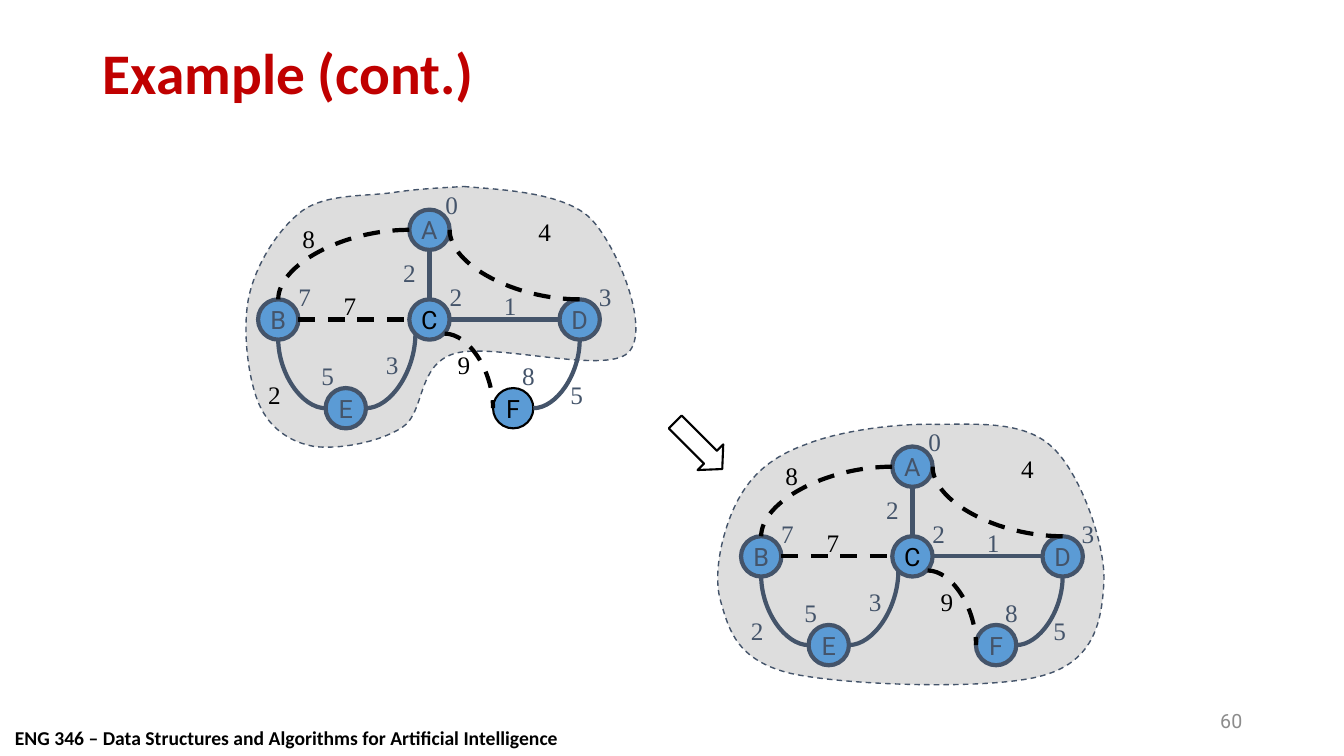
from lxml import etree
from pptx import Presentation
from pptx import util as u
from pptx.dml import color
from pptx.enum import dml, shapes, text
from pptx.oxml import ns

rgb = color.RGBColor.from_string
inch = u.Inches
slate, black = "44546A", "000000"
align = text.PP_ALIGN


def write(shape, words, size=18, font="Times New Roman", ink=slate, bold=False,
          side=align.CENTER, wrap=False, anchor=text.MSO_ANCHOR.MIDDLE):
    frame = shape.text_frame
    frame.word_wrap = wrap
    frame.vertical_anchor = anchor
    frame.text = words
    par = frame.paragraphs[0]
    par.alignment = side
    par.font.size = u.Pt(size)
    par.font.name = font
    par.font.bold = bold
    par.font.color.rgb = rgb(ink)
    return par


def stroke(line, ink=slate, width=3, dashed=False):
    line.color.rgb = rgb(ink)
    line.width = u.Pt(width)
    if dashed:
        line.dash_style = dml.MSO_LINE.DASH


deck = Presentation()
deck.slide_width, deck.slide_height = inch(13.33), inch(7.5)
slide = deck.slides.add_slide(deck.slide_layouts[5])
items = slide.shapes

title = items.title
title.left, title.top, title.width, title.height = map(inch, (0.92, 0.4, 11.5, 0.7))
par = write(title, "Example (cont.)", 41, "Calibri", "C00000", True, align.LEFT, True)
par.line_spacing = 0.9

foot = items.add_textbox(inch(0.05), inch(7.15), inch(5.63), inch(0.33))
write(foot, "ENG 346 – Data Structures and Algorithms for Artificial Intelligence",
      14, "Calibri", black, True, align.LEFT, anchor=text.MSO_ANCHOR.TOP)
page = items.add_textbox(inch(9.42), inch(6.95), inch(3), inch(0.4))
write(page, "60", 14, "Roboto", "8C8C8C", side=align.RIGHT, wrap=True)

size = 0.4
nodes = {"C": (4.06, 2.97), "B": (2.56, 2.97), "A": (4.06, 2.08),
         "E": (3.23, 3.85), "D": (5.55, 2.97), "F": (4.89, 3.85)}
edges = [
    (4.06, 2.28, 2.76, 2.97, True, True),
    (3.23, 4.05, 2.76, 3.36, True, False),
    (3.63, 4.05, 4.12, 3.31, True, False),
    (4.26, 2.48, 4.26, 2.97, False, False),
    (2.96, 3.17, 4.06, 3.17, False, True),
    (5.29, 4.05, 5.75, 3.37, True, False),
    (5.75, 2.97, 4.46, 2.28, True, True),
    (4.46, 3.17, 5.55, 3.17, False, False),
    (4.41, 3.31, 4.89, 4.05, True, True),
]
labels = [
    ("0", 4.32, 1.83, slate), ("3", 5.84, 2.74, slate), ("2", 4.36, 2.74, slate),
    ("7", 2.86, 2.74, slate), ("5", 3.09, 3.53, slate), ("8", 5.08, 3.53, slate),
    ("4", 5.24, 2.1, black), ("8", 2.9, 2.17, black), ("7", 3.31, 2.83, black),
    ("1", 4.9, 2.83, slate), ("5", 5.56, 3.71, slate), ("2", 3.9, 2.5, slate),
    ("3", 3.73, 3.42, slate), ("9", 4.44, 3.42, black),
]
first = [
    (4.6, 1.85), (4.93, 1.88), (5.59, 1.9), (5.86, 2.17), (6.13, 2.45), (6.46, 3.28),
    (6.23, 3.5), (6, 3.72), (4.87, 3.39), (4.5, 3.51), (4.13, 3.63), (4.22, 4.09),
    (3.99, 4.24), (3.76, 4.39), (3.36, 4.46), (3.12, 4.43), (2.89, 4.39), (2.68, 4.26),
    (2.57, 4.01), (2.46, 3.76), (2.4, 3.26), (2.47, 2.94), (2.54, 2.62), (2.76, 2.27),
    (3, 2.09), (3.24, 1.92), (3.63, 1.95), (3.9, 1.91), (4.16, 1.87), (4.46, 1.86),
    (4.6, 1.85),
]
second = [
    (9.27, 4.21), (9.68, 4.21), (10.15, 4.17), (10.43, 4.43), (10.71, 4.68), (10.96, 5.38),
    (10.95, 5.76), (10.93, 6.14), (10.87, 6.55), (10.35, 6.7), (9.84, 6.85), (8.38, 6.8),
    (7.84, 6.68), (7.31, 6.55), (7.23, 6.25), (7.15, 5.97), (7.06, 5.68), (7.18, 5.22),
    (7.32, 4.96), (7.46, 4.7), (7.66, 4.53), (7.99, 4.41), (8.31, 4.28), (8.86, 4.2),
    (9.27, 4.21),
]

for cloud, dx, dy, last, tint in ((first, 0, 0, (black, 1.5), black),
                                  (second, 4.79, 2.35, (slate, 3), slate)):
    points = [(inch(x), inch(y)) for x, y in cloud]
    pen = items.build_freeform(*points[0], scale=1.0)
    pen.add_line_segments(points[1:], close=True)
    blob = pen.convert_to_shape()
    blob.shadow.inherit = False
    blob.fill.solid()
    blob.fill.fore_color.rgb = rgb("DDDDDD")
    stroke(blob.line, width=1, dashed=True)
    steps = list(blob._element.iter(ns.qn("a:lnTo")))
    for i in range(0, len(points) - 1, 3):
        curve = etree.Element(ns.qn("a:cubicBezTo"))
        steps[i].addprevious(curve)
        for step in steps[i:i + 3]:
            curve.append(step[0])
            step.getparent().remove(step)

    for name, (x, y) in nodes.items():
        node = items.add_shape(shapes.MSO_SHAPE.OVAL, inch(x + dx), inch(y + dy),
                               inch(size), inch(size))
        node.shadow.inherit = False
        node.fill.solid()
        node.fill.fore_color.rgb = rgb("5B9BD5")
        stroke(node.line, *(last if name == "F" else (slate, 3)))
        ink = {"C": black, "F": tint}.get(name, slate)
        write(node, name, font="Roboto", ink=ink)

    for x1, y1, x2, y2, bent, dashed in edges:
        kind = shapes.MSO_CONNECTOR.CURVE if bent else shapes.MSO_CONNECTOR.STRAIGHT
        edge = items.add_connector(kind, inch(x1 + dx), inch(y1 + dy),
                                   inch(x2 + dx), inch(y2 + dy))
        stroke(edge.line, black if dashed else slate, dashed=dashed)
        props = edge._element.spPr
        etree.SubElement(props, ns.qn("a:effectLst"))
        if bent:
            props.find(ns.qn("a:prstGeom")).set("prst", "curvedConnector2")

    for words, x, y, ink in labels + [("2", 2.56, 3.71, tint)]:
        label = items.add_textbox(inch(x + dx), inch(y + dy), inch(0.32), inch(0.4))
        write(label, words, ink=ink, anchor=text.MSO_ANCHOR.TOP)

arrow = items.add_shape(shapes.MSO_SHAPE.RIGHT_ARROW, inch(6.6), inch(4.24),
                        inch(0.66), inch(0.36))
arrow.shadow.inherit = False
arrow.adjustments[1] = 0.46
arrow.rotation = 45
arrow.fill.background()
stroke(arrow.line, black, 1.5)

deck.save("out.pptx")
